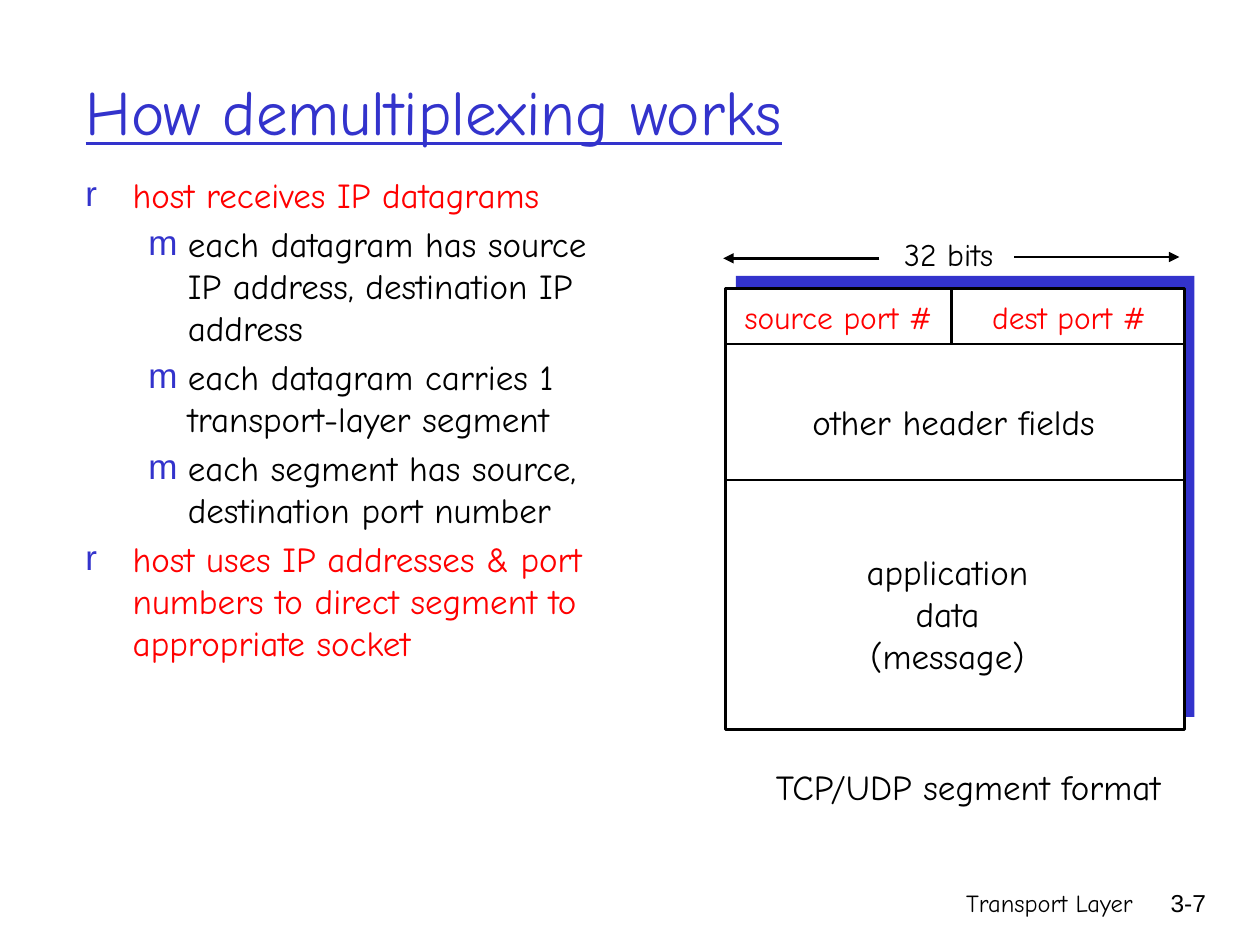
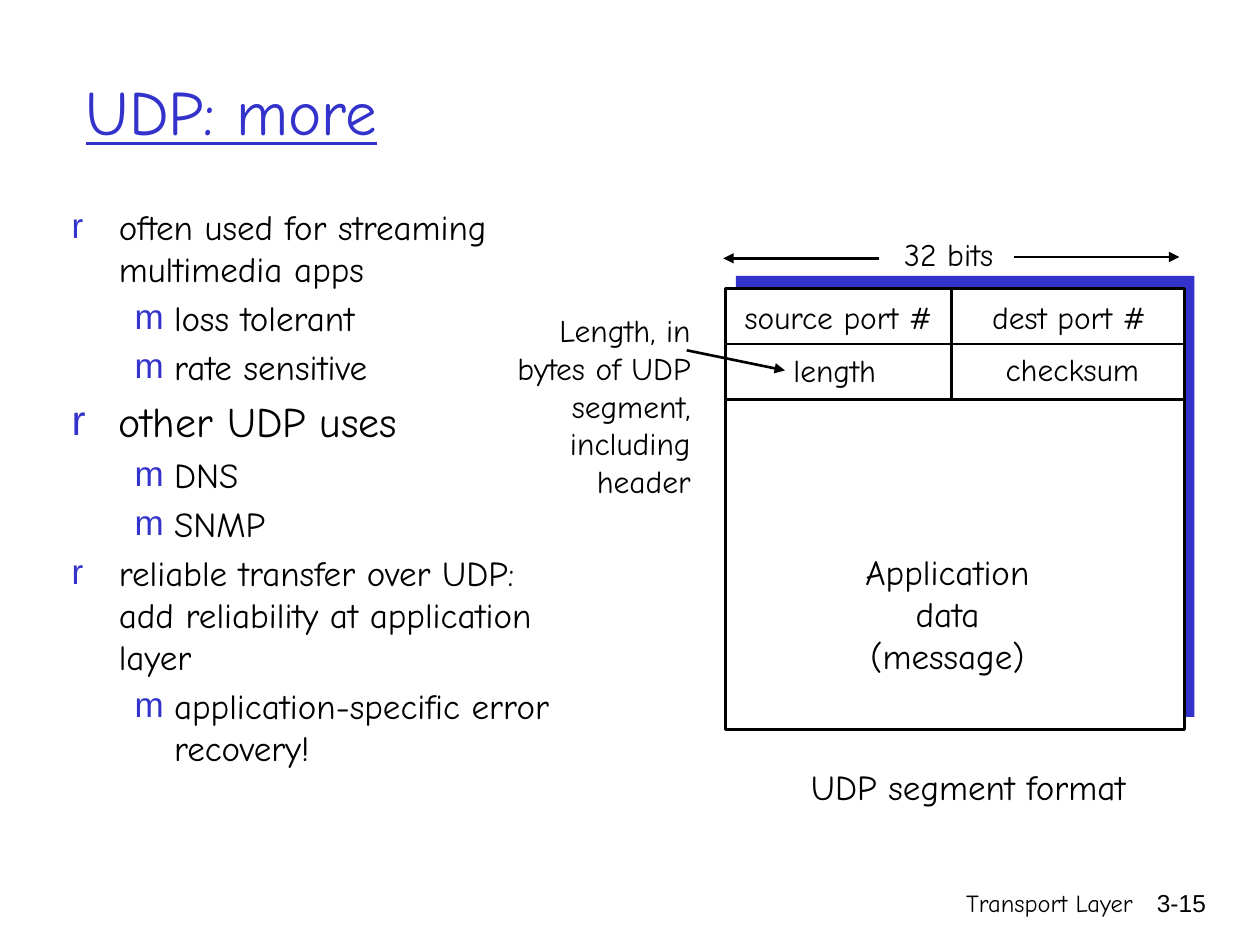
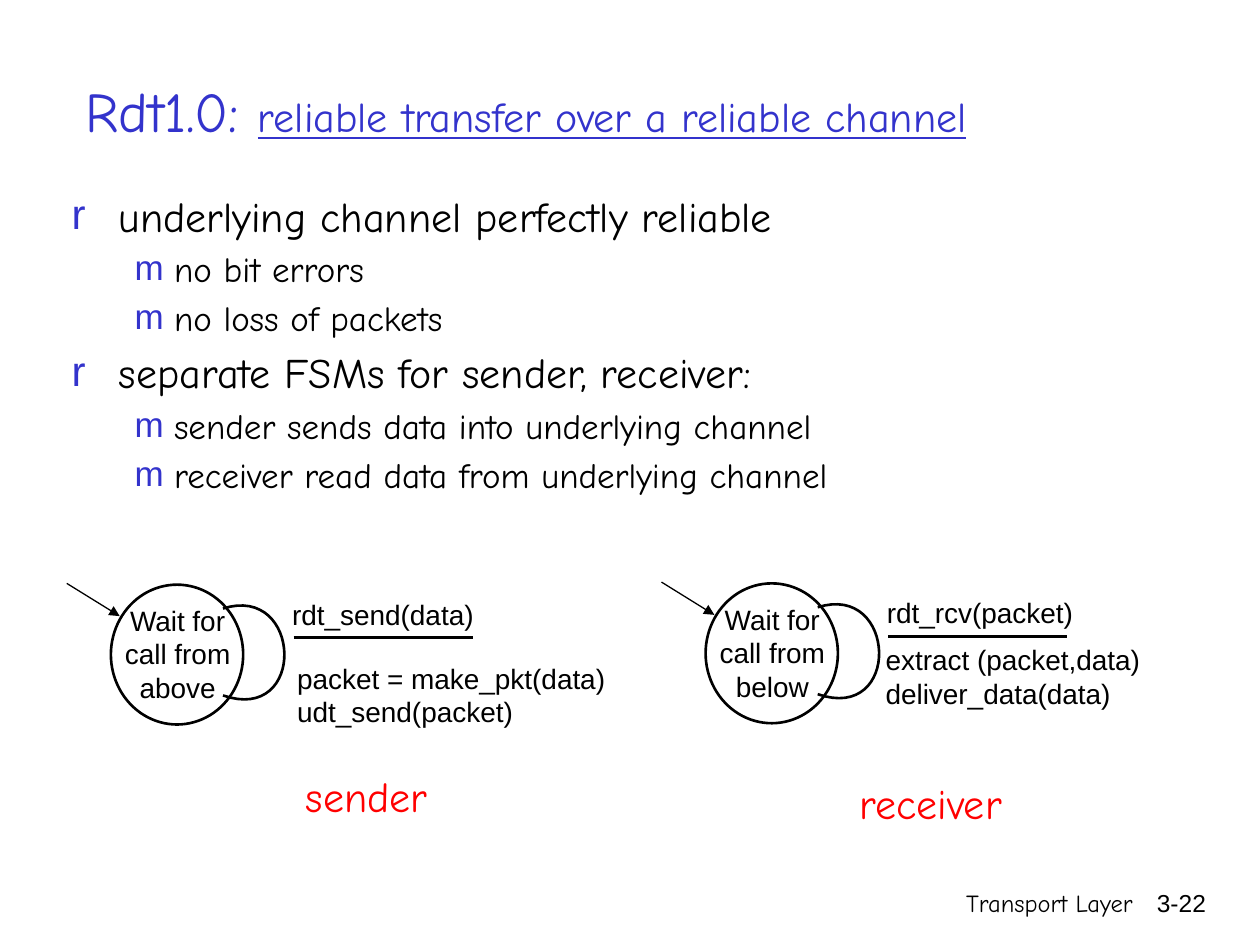
"""Build three transport-layer slides on a grid of 100 columns by 75 rows."""
import dataclasses
import typing

import lxml.etree
import pptx
import pptx.dml.color
import pptx.enum.shapes
import pptx.enum.text
import pptx.oxml.ns
import pptx.util

SLIDE_WIDTH = pptx.util.Inches(10)
SLIDE_HEIGHT = pptx.util.Inches(7.5)
COLUMN = SLIDE_WIDTH / 100
ROW = SLIDE_HEIGHT / 75

BLUE, RED, BLACK, WHITE = "3333CC", "FF0000", "000000", "FFFFFF"
HAND, SANS = "Comic Neue", "Arial"
ALIGN = pptx.enum.text.PP_ALIGN
SHAPE = pptx.enum.shapes.MSO_SHAPE
TITLE_ONLY = 5
LINE_WIDTH = 1.5


class Box(typing.NamedTuple):
    """A rectangle in columns and rows."""
    left: float
    top: float
    width: float
    height: float


class Point(typing.NamedTuple):
    """A place in columns and rows."""
    x: float
    y: float


class Level(typing.NamedTuple):
    """The bullet and indents of one outline level."""
    character: str
    margin: float
    hanging: float


class TitleRun(typing.NamedTuple):
    """A piece of a slide title."""
    text: str
    size: float = 36
    underline: bool = True


class Bullet(typing.NamedTuple):
    """One line of an outline."""
    text: str
    level: int = 0
    size: float = 20
    color: str = BLACK


@dataclasses.dataclass
class Label:
    """A text box with one format."""
    text: str
    box: Box
    size: float = 18
    color: str = BLACK
    font: str = HAND
    align: ALIGN = ALIGN.CENTER


@dataclasses.dataclass
class Machine:
    """A one-state machine placed by the corner of its state."""
    corner: Point
    state: str
    event: str
    actions: str
    actions_box: Box
    role: Label


LEVELS = (Level("r", 3.75, 3.75), Level("m", 8.13, 3.13))
SEGMENT = Box(57.6, 22.9, 36.4, 35)
SEGMENT_SHADOW = Box(58.4, 21.9, 36.4, 35)
DIVIDER_X = 75.5
PORTS_BOTTOM = 27.3
LENGTHS_BOTTOM = 31.7
FIELDS_BOTTOM = 38.1


def across(columns: float) -> int:
    """Turn columns into a length."""
    return round(columns * COLUMN)


def down(rows: float) -> int:
    """Turn rows into a length."""
    return round(rows * ROW)


def place(box: Box) -> tuple[int, int, int, int]:
    """Turn a grid box into lengths."""
    return across(box.left), down(box.top), across(box.width), down(box.height)


def rgb(color: str) -> pptx.dml.color.RGBColor:
    """Read a hex colour."""
    return pptx.dml.color.RGBColor.from_string(color)


def add_element(parent, tag: str, **attributes: str):
    """Append a drawing element."""
    return lxml.etree.SubElement(parent, pptx.oxml.ns.qn(tag), attributes)


def format_run(run, size: float, color: str, font: str = HAND) -> None:
    """Set the font of a run."""
    run.font.name = font
    run.font.size = pptx.util.Pt(size)
    run.font.color.rgb = rgb(color)


def add_label(slide, label: Label) -> None:
    """Draw a text box, one paragraph per line of its text."""
    text_frame = slide.shapes.add_textbox(*place(label.box)).text_frame
    text_frame.word_wrap = True
    text_frame.text = label.text
    for paragraph in text_frame.paragraphs:
        paragraph.alignment = label.align
        for run in paragraph.runs:
            format_run(run, label.size, label.color, label.font)


def outline_shape(shape, fill: str | None, line: str | None) -> None:
    """Set the fill and outline of a shape."""
    shape.shadow.inherit = False
    if fill:
        shape.fill.solid()
        shape.fill.fore_color.rgb = rgb(fill)
    else:
        shape.fill.background()
    if line:
        shape.line.color.rgb = rgb(line)
        shape.line.width = pptx.util.Pt(LINE_WIDTH)
    else:
        shape.line.fill.background()


def add_block(slide, kind: SHAPE, box: Box, fill: str, line: str | None = None) -> None:
    """Draw a filled preset shape."""
    outline_shape(slide.shapes.add_shape(kind, *place(box)), fill, line)


def add_line(slide, start: Point, end: Point, arrow: bool = False,
             width: float = LINE_WIDTH) -> None:
    """Draw a straight line, with an arrowhead at its end if asked."""
    connector = slide.shapes.add_connector(
        pptx.enum.shapes.MSO_CONNECTOR.STRAIGHT,
        across(start.x), down(start.y), across(end.x), down(end.y))
    connector.line.color.rgb = rgb(BLACK)
    connector.line.width = pptx.util.Pt(width)
    properties = connector._element.spPr
    if arrow:
        add_element(properties.find(pptx.oxml.ns.qn("a:ln")), "a:tailEnd", type="triangle")
    add_element(properties, "a:effectLst")


def add_curve(slide, start: Point, first: Point, second: Point, end: Point,
              steps: int = 32) -> None:
    """Draw an open cubic curve."""
    def at(share: float) -> tuple[int, int]:
        """Find the place a share of the way along the curve."""
        rest = 1 - share
        weights = (rest ** 3, 3 * rest ** 2 * share, 3 * rest * share ** 2, share ** 3)
        pairs = list(zip(weights, (start, first, second, end)))
        return (across(sum(weight * point.x for weight, point in pairs)),
                down(sum(weight * point.y for weight, point in pairs)))

    builder = slide.shapes.build_freeform(*at(0))
    builder.add_line_segments([at(step / steps) for step in range(1, steps + 1)], close=False)
    outline_shape(builder.convert_to_shape(), None, BLACK)


def add_bullets(slide, box: Box, bullets: list[Bullet]) -> None:
    """Draw a two-level outline."""
    text_frame = slide.shapes.add_textbox(*place(box)).text_frame
    text_frame.word_wrap = True
    text_frame.text = "\n".join(bullet.text for bullet in bullets)
    for index, (paragraph, bullet) in enumerate(zip(text_frame.paragraphs, bullets)):
        level = LEVELS[bullet.level]
        paragraph.level = bullet.level
        properties = paragraph._p.get_or_add_pPr()
        properties.set("marL", str(across(level.margin)))
        properties.set("indent", str(-across(level.hanging)))
        add_element(add_element(properties, "a:buClr"), "a:srgbClr", val=BLUE)
        add_element(properties, "a:buFont", typeface=SANS)
        add_element(properties, "a:buChar", char=level.character)
        paragraph.space_before = pptx.util.Pt(0.2 * bullet.size if index else 0)
        format_run(paragraph.runs[0], bullet.size, bullet.color)


def start_slide(presentation, number: str, width: float, *title: TitleRun):
    """Add a slide with its title and footer."""
    slide = presentation.slides.add_slide(presentation.slide_layouts[TITLE_ONLY])
    heading = slide.shapes.title
    heading.left, heading.top, heading.width, heading.height = place(Box(5.8, 2.5, width, 12.5))
    text_frame = heading.text_frame
    text_frame.auto_size = pptx.enum.text.MSO_AUTO_SIZE.NONE
    text_frame.vertical_anchor = pptx.enum.text.MSO_ANCHOR.MIDDLE
    paragraph = text_frame.paragraphs[0]
    paragraph.alignment = ALIGN.LEFT
    for piece in title:
        run = paragraph.add_run()
        run.text = piece.text
        format_run(run, piece.size, BLUE)
        run.font.underline = piece.underline
    add_label(slide, Label("Transport Layer", Box(59.2, 70, 31.7, 5), 14, align=ALIGN.RIGHT))
    add_label(slide, Label(number, Box(89.3, 70, 7.4, 5), 14, font=SANS, align=ALIGN.RIGHT))
    return slide


def add_row_line(slide, y: float) -> None:
    """Rule off a row of the segment."""
    add_line(slide, Point(SEGMENT.left, y), Point(SEGMENT.left + SEGMENT.width, y))


def add_segment(slide, caption: str, payload: str, port_color: str, header_bottom: float,
                divider_bottom: float) -> None:
    """Draw the segment format that both protocols share."""
    add_block(slide, SHAPE.RECTANGLE, SEGMENT_SHADOW, BLUE)
    add_block(slide, SHAPE.RECTANGLE, SEGMENT, WHITE, BLACK)
    for y in (PORTS_BOTTOM, header_bottom):
        add_row_line(slide, y)
    add_line(slide, Point(DIVIDER_X, SEGMENT.top), Point(DIVIDER_X, divider_bottom))
    add_line(slide, Point(80.5, 20.4), Point(93.6, 20.4), arrow=True)
    add_line(slide, Point(69.8, 20.5), Point(57.4, 20.5), arrow=True)
    for label in (
        Label("32 bits", Box(70.1, 18.2, 10.4, 4)),
        Label("source port #", Box(57.4, 23.2, 18.3, 4), color=port_color),
        Label("dest port #", Box(76.9, 23.2, 15.9, 4), color=port_color),
        Label(f"{payload}\ndata\n(message)", Box(67, 43.2, 16.4, 11), 20),
        Label(caption, Box(59.1, 60.3, 35.5, 4.3), 20),
    ):
        add_label(slide, label)


def add_machine(slide, machine: Machine) -> None:
    """Draw a state with its entry arrow, self-loop and transition."""
    def offset(x: float, y: float) -> Point:
        """Measure from the corner of the state."""
        return Point(machine.corner.x + x, machine.corner.y + y)

    add_block(slide, SHAPE.OVAL, Box(*machine.corner, 10.5, 11.1), WHITE, BLACK)
    add_curve(slide, offset(8.9, 1.9), offset(15.2, -0.1), offset(15.6, 11.1), offset(8.9, 8.8))
    add_line(slide, offset(-3.5, -0.1), offset(0.7, 2.5), arrow=True, width=0.75)
    add_line(slide, offset(14.5, 4.2), offset(28.7, 4.2))
    add_label(slide, Label(machine.state, Box(*offset(-0.7, 1), 12, 10), 16, font=SANS))
    for text, box in ((machine.event, Box(*offset(13.4, 0.5), 24.7, 4.7)),
                      (machine.actions, machine.actions_box)):
        add_label(slide, Label(text, box, 16, font=SANS, align=ALIGN.LEFT))
    add_label(slide, machine.role)


def build_demultiplexing(presentation) -> None:
    """Show how a host demultiplexes."""
    slide = start_slide(presentation, "3-7", 85, TitleRun("How demultiplexing works"))
    add_bullets(slide, Box(5.8, 13.3, 45, 30.5), [
        Bullet("host receives IP datagrams", color=RED),
        Bullet("each datagram has source IP address, destination IP address", 1),
        Bullet("each datagram carries 1 transport-layer segment", 1),
        Bullet("each segment has source, destination port number", 1),
        Bullet("host uses IP addresses & port numbers to direct segment to appropriate socket",
               color=RED),
    ])
    add_segment(slide, "TCP/UDP segment format", "application", RED, FIELDS_BOTTOM, PORTS_BOTTOM)
    add_label(slide, Label("other header fields", Box(62, 31.3, 27.4, 4.3), 20))


def build_udp(presentation) -> None:
    """Show the uses and the segment of UDP."""
    slide = start_slide(presentation, "3-15", 91.2, TitleRun("UDP: more"))
    add_bullets(slide, Box(4.7, 15.8, 41.7, 50.8), [
        Bullet("often used for streaming multimedia apps"),
        Bullet("loss tolerant", 1),
        Bullet("rate sensitive", 1),
        Bullet("other UDP uses", size=24),
        Bullet("DNS", 1),
        Bullet("SNMP", 1),
        Bullet("reliable transfer over UDP: add reliability at application layer"),
        Bullet("application-specific error recovery!", 1),
    ])
    add_segment(slide, "UDP segment format", "Application", BLACK, LENGTHS_BOTTOM, LENGTHS_BOTTOM)
    add_label(slide, Label("length", Box(61.6, 27.4, 9.3, 4)))
    add_label(slide, Label("checksum", Box(78.5, 27.3, 13.2, 4)))
    add_label(slide, Label("Length, in\nbytes of UDP\nsegment,\nincluding\nheader",
                           Box(38.2, 24.2, 17.6, 16), align=ALIGN.RIGHT))
    add_line(slide, Point(54.5, 27.8), Point(62.3, 29.4), arrow=True)


def build_reliable_channel(presentation) -> None:
    """Show the sender and receiver machines."""
    slide = start_slide(presentation, "3-22", 87.5, TitleRun("Rdt1.0: ", 32, False),
                        TitleRun("reliable transfer over a reliable channel", 24))
    add_bullets(slide, Box(4.7, 14.6, 86.4, 33), [
        Bullet("underlying channel perfectly reliable", size=24),
        Bullet("no bit errors", 1),
        Bullet("no loss of packets", 1),
        Bullet("separate FSMs for sender, receiver:", size=24),
        Bullet("sender sends data into underlying channel", 1),
        Bullet("receiver read data from underlying channel", 1),
    ])
    for machine in (
        Machine(Point(8.8, 46.4), "Wait for call from above", "rdt_send(data)",
                "packet = make_pkt(data)\nudt_send(packet)", Box(22.6, 52, 29.3, 6.5),
                Label("sender", Box(22.8, 60.7, 12.6, 5), 24, RED)),
        Machine(Point(56, 46.3), "Wait for call from below", "rdt_rcv(packet)",
                "extract (packet,data)\ndeliver_data(data)", Box(69.3, 50.5, 27.2, 4.7),
                Label("receiver", Box(66.4, 61.2, 14.9, 5), 24, RED)),
    ):
        add_machine(slide, machine)


def main() -> None:
    """Build and save the presentation."""
    presentation = pptx.Presentation()
    presentation.slide_width = SLIDE_WIDTH
    presentation.slide_height = SLIDE_HEIGHT
    build_demultiplexing(presentation)
    build_udp(presentation)
    build_reliable_channel(presentation)
    presentation.save("out.pptx")


if __name__ == "__main__":
    main()
